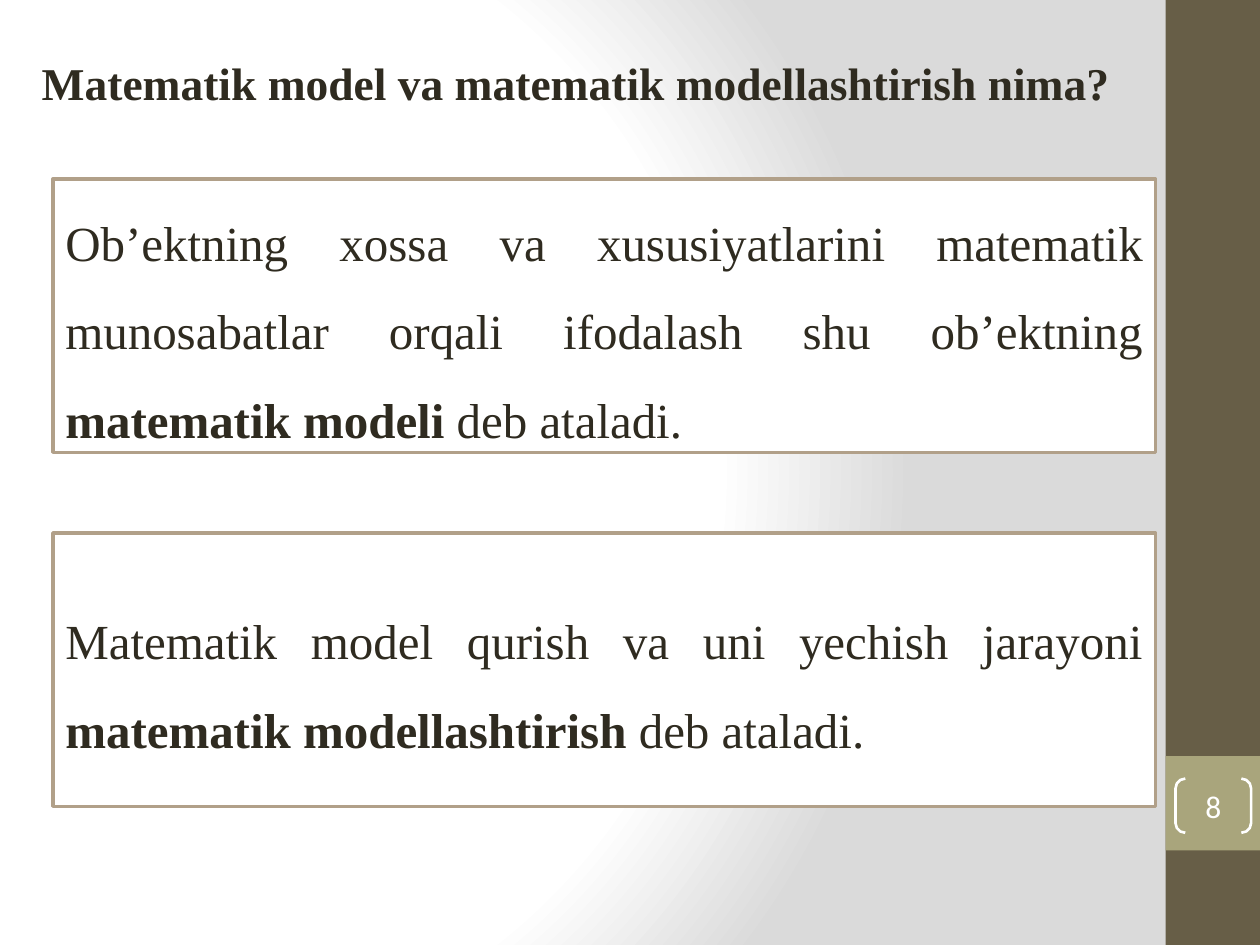
"""Build the slide that defines a mathematical model and mathematical modelling."""

from pptx import Presentation
from pptx.dml.color import RGBColor
from pptx.enum.shapes import MSO_SHAPE
from pptx.enum.text import MSO_ANCHOR, MSO_AUTO_SIZE, PP_ALIGN
from pptx.oxml import parse_xml
from pptx.oxml.ns import nsdecls, qn
from pptx.util import Inches, Pt

COLORS = {
    "white": "FFFFFF",
    "shade": "DADADA",
    "sidebar": "675E47",
    "badge": "A9A57C",
    "border": "B1A089",
    "text": "2F2B20",
}
BODY_FONT = "Times New Roman"
NUMBER_FONT = "Calibri"
DEFINITIONS = [
    (
        ("Ob’ektning xossa va xususiyatlarini matematik munosabatlar "
         "orqali ifodalash shu ob’ektning ", False),
        ("matematik modeli ", True),
        ("deb ataladi. ", False),
    ),
    (
        ("Matematik model qurish va uni yechish jarayoni ", False),
        ("matematik modellashtirish ", True),
        ("deb ataladi. ", False),
    ),
]


def rgb(name):
    return RGBColor.from_string(COLORS[name])


def set_background(slide):
    slide.background.fill.gradient()
    stops = "".join(
        f'<a:gs pos="{percent * 1000}"><a:srgbClr val="{COLORS[name]}"/></a:gs>'
        for percent, name in ((0, "white"), (75, "white"), (100, "shade"))
    )
    radial = parse_xml(
        f'<a:gradFill {nsdecls("a")} rotWithShape="1"><a:gsLst>{stops}</a:gsLst>'
        '<a:path path="circle">'
        '<a:fillToRect l="20000" t="50000" r="100000" b="50000"/>'
        "</a:path></a:gradFill>"
    )
    linear = next(slide.element.iter(qn("a:gradFill")))
    linear.getparent().replace(linear, radial)


def add_panel(slide, box, fill=None, line=None, line_width=1, preset=MSO_SHAPE.RECTANGLE):
    panel = slide.shapes.add_shape(preset, *map(Inches, box))
    panel.shadow.inherit = False
    if fill:
        panel.fill.solid()
        panel.fill.fore_color.rgb = rgb(fill)
    else:
        panel.fill.background()
    if line:
        panel.line.color.rgb = rgb(line)
        panel.line.width = Pt(line_width)
    else:
        panel.line.fill.background()
    return panel


def write_text(frame, pieces, size, align, font=BODY_FONT, color="text", spacing=1.5):
    frame.word_wrap = True
    paragraph = frame.paragraphs[0]
    paragraph.alignment = align
    paragraph.line_spacing = spacing
    for wording, bold in pieces:
        run = paragraph.add_run()
        run.text = wording
        run.font.name = font
        run.font.size = Pt(size)
        run.font.bold = bold
        run.font.color.rgb = rgb(color)


def add_page_number(slide, number):
    brackets = add_panel(slide, (9.33, 6.18, 0.6, 0.43), line="white",
                         line_width=1.5, preset=MSO_SHAPE.DOUBLE_BRACKET)
    brackets.adjustments[0] = 0.18
    frame = brackets.text_frame
    frame.margin_left = frame.margin_right = Inches(0)
    frame.margin_top = frame.margin_bottom = Inches(0)
    frame.vertical_anchor = MSO_ANCHOR.MIDDLE
    write_text(frame, [(number, False)], 18, PP_ALIGN.CENTER,
               font=NUMBER_FONT, color="white", spacing=1)


def add_title(slide, wording):
    title = slide.shapes.add_textbox(*map(Inches, (0.08, 0.17, 9.08, 0.69)))
    write_text(title.text_frame, [(wording, True)], 26, PP_ALIGN.CENTER)
    title.text_frame.auto_size = MSO_AUTO_SIZE.SHAPE_TO_FIT_TEXT


def add_definition(slide, top, pieces):
    card = add_panel(slide, (0.42, top, 8.75, 2.17), "white", "border", 2)
    card.text_frame.vertical_anchor = MSO_ANCHOR.MIDDLE
    write_text(card.text_frame, pieces, 28, PP_ALIGN.JUSTIFY)


def main():
    deck = Presentation()
    deck.slide_width, deck.slide_height = Inches(10), Inches(7.5)
    slide = deck.slides.add_slide(deck.slide_layouts[6])
    set_background(slide)
    add_panel(slide, (9.25, 0, 0.75, 7.5), "sidebar")
    add_panel(slide, (9.25, 6, 0.75, 0.75), "badge")
    add_page_number(slide, "8")
    add_title(slide, "Matematik model va matematik modellashtirish nima? ")
    for index, pieces in enumerate(DEFINITIONS):
        add_definition(slide, 1.42 + 2.81 * index, pieces)
    deck.save("out.pptx")


if __name__ == "__main__":
    main()
